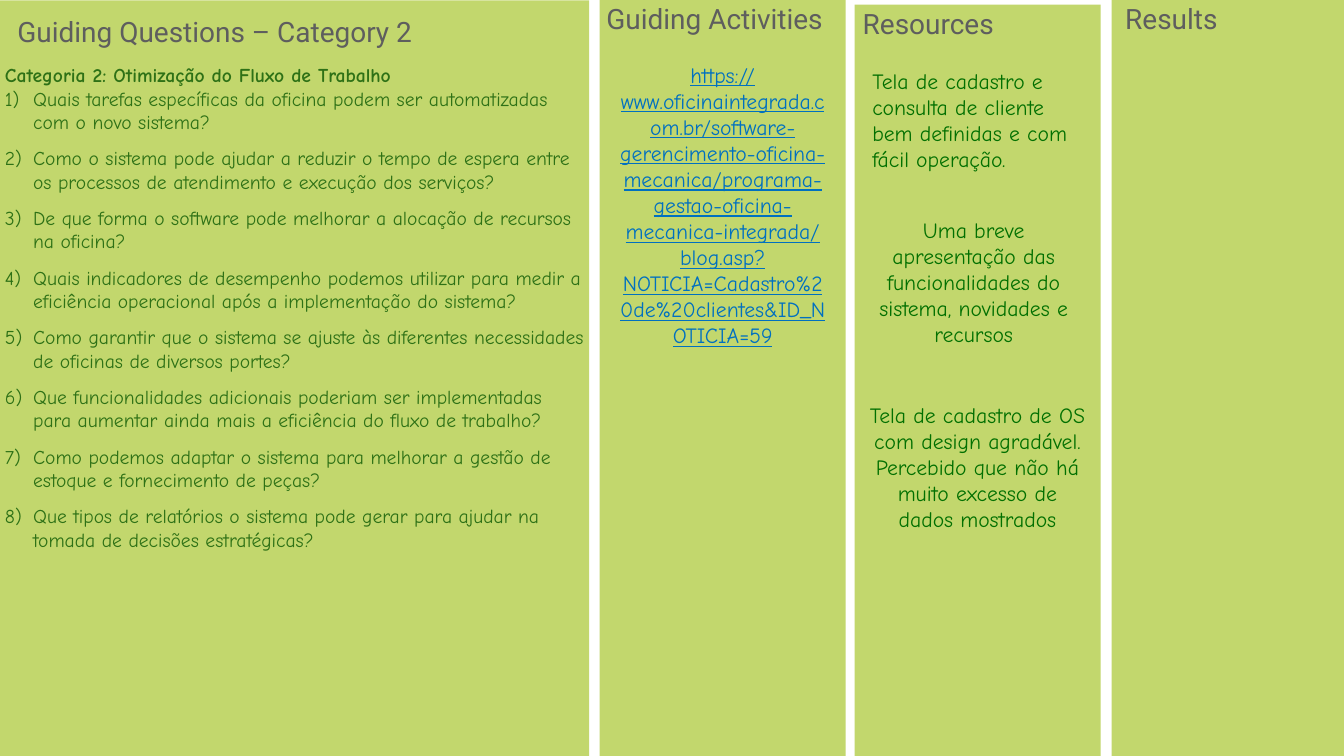
"""Build the guiding questions slide with its four green columns."""
from pptx import Presentation
from pptx.dml.color import RGBColor
from pptx.enum.shapes import MSO_SHAPE as Shape
from pptx.enum.text import MSO_ANCHOR as Anchor, MSO_AUTO_SIZE as AutoSize, PP_ALIGN as Align
from pptx.oxml.ns import qn
from pptx.util import Inches, Pt
from lxml.etree import SubElement

LIME = RGBColor(0xC2, 0xD7, 0x6D)
GRAY = RGBColor(0x5E, 0x5E, 0x5E)
BLUE = RGBColor(0x00, 0x70, 0xC0)
GREEN = RGBColor(0x02, 0x70, 0x01)
LEAF = RGBColor(0x2E, 0x71, 0x16)
HEADING_FONT = "Roboto"
BODY_FONT = "Comic Neue"


def style(para, font, size, color):
    para.font.name = font
    para.font.size = Pt(size)
    for span in para.runs:
        span.font.name = font
        span.font.size = Pt(size)
        span.font.color.rgb = color


def add_text(place, text, font, size, color, align=Align.CENTER, inset=0.03, wrap=True):
    box = page.shapes.add_textbox(*map(Inches, place))
    frame = box.text_frame
    frame.word_wrap = wrap
    frame.auto_size = AutoSize.SHAPE_TO_FIT_TEXT
    frame.vertical_anchor = Anchor.MIDDLE
    frame.margin_left = frame.margin_right = Inches(inset)
    frame.margin_top = frame.margin_bottom = Inches(inset)
    frame.text = text
    para = frame.paragraphs[0]
    para.alignment = align
    style(para, font, size, color)
    return para


deck = Presentation()
deck.slide_width = Inches(26.67)
deck.slide_height = Inches(15)
page = deck.slides.add_slide(deck.slide_layouts[6])

columns = [
    ((0, 0.01, 11.69, 14.99), (0.24, 0.25, 8.04, 0.73), "Guiding Questions – Category 2"),
    ((11.9, 0, 4.88, 15), (12, 0, 4.36, 0.73), "Guiding Activities"),
    ((16.96, 0.09, 4.88, 15), (17.05, 0.09, 2.74, 0.73), "Resources"),
    ((22.06, 0, 4.61, 15), (22.28, 0, 1.93, 0.73), "Results"),
]
for panel_place, heading_place, heading in columns:
    panel = page.shapes.add_shape(Shape.RECTANGLE, *map(Inches, panel_place))
    panel.shadow.inherit = False
    panel.fill.solid()
    panel.fill.fore_color.rgb = LIME
    panel.line.fill.background()
    add_text(heading_place, heading, HEADING_FONT, 40, GRAY, wrap=False)

address = add_text(
    (12.2, 0.9, 4.28, 6.32),
    "https://www.oficinaintegrada.com.br/software-gerencimento-oficina-mecanica/"
    "programa-gestao-oficina-mecanica-integrada/blog.asp"
    "?NOTICIA=Cadastro%20de%20clientes&ID_NOTICIA=59",
    BODY_FONT, 31, BLUE)
address.runs[0].font.underline = True

resources = [
    ((17.28, 1.3, 4.28, 2.15), Align.LEFT, 0.03,
     "Tela de cadastro e consulta de cliente bem definidas e com fácil operação."),
    ((17.08, 4.2, 4.48, 2.77), Align.CENTER, 0.08,
     "Uma breve apresentação das funcionalidades do sistema, novidades e recursos"),
    ((17.18, 7.61, 4.43, 3.29), Align.CENTER, 0.08,
     "Tela de cadastro de OS com design agradável. "
     "Percebido que não há muito excesso de dados mostrados"),
]
for place, align, inset, text in resources:
    add_text(place, text, BODY_FONT, 31, GREEN, align, inset)

questions = [
    "Quais tarefas específicas da oficina podem ser automatizadas com o novo sistema?",
    "Como o sistema pode ajudar a reduzir o tempo de espera entre os processos de atendimento "
    "e execução dos serviços?",
    "De que forma o software pode melhorar a alocação de recursos na oficina?",
    "Quais indicadores de desempenho podemos utilizar para medir a eficiência operacional "
    "após a implementação do sistema?",
    "Como garantir que o sistema se ajuste às diferentes necessidades de oficinas "
    "de diversos portes?",
    "Que funcionalidades adicionais poderiam ser implementadas para aumentar ainda mais "
    "a eficiência do fluxo de trabalho?",
    "Como podemos adaptar o sistema para melhorar a gestão de estoque e fornecimento de peças?",
    "Que tipos de relatórios o sistema pode gerar para ajudar na tomada de decisões estratégicas?",
]
question_box = page.shapes.add_textbox(Inches(0), Inches(1.2), Inches(11.68), Inches(10.82))
frame = question_box.text_frame
frame.word_wrap = True
frame.auto_size = AutoSize.SHAPE_TO_FIT_TEXT
frame.text = "Categoria 2: Otimização do Fluxo de Trabalho"
style(frame.paragraphs[0], BODY_FONT, 28, LEAF)
frame.paragraphs[0].runs[0].font.bold = True
indent = Inches(0.56)
for question in questions:
    para = frame.add_paragraph()
    para.text = question
    para.space_after = Pt(18)
    properties = para._p.get_or_add_pPr()
    properties.set("marL", str(indent))
    properties.set("indent", str(-indent))
    SubElement(properties, qn("a:buFont"), typeface="+mj-lt")
    SubElement(properties, qn("a:buAutoNum"), type="arabicParenR")
    style(para, BODY_FONT, 28, LEAF)

deck.save("out.pptx")
